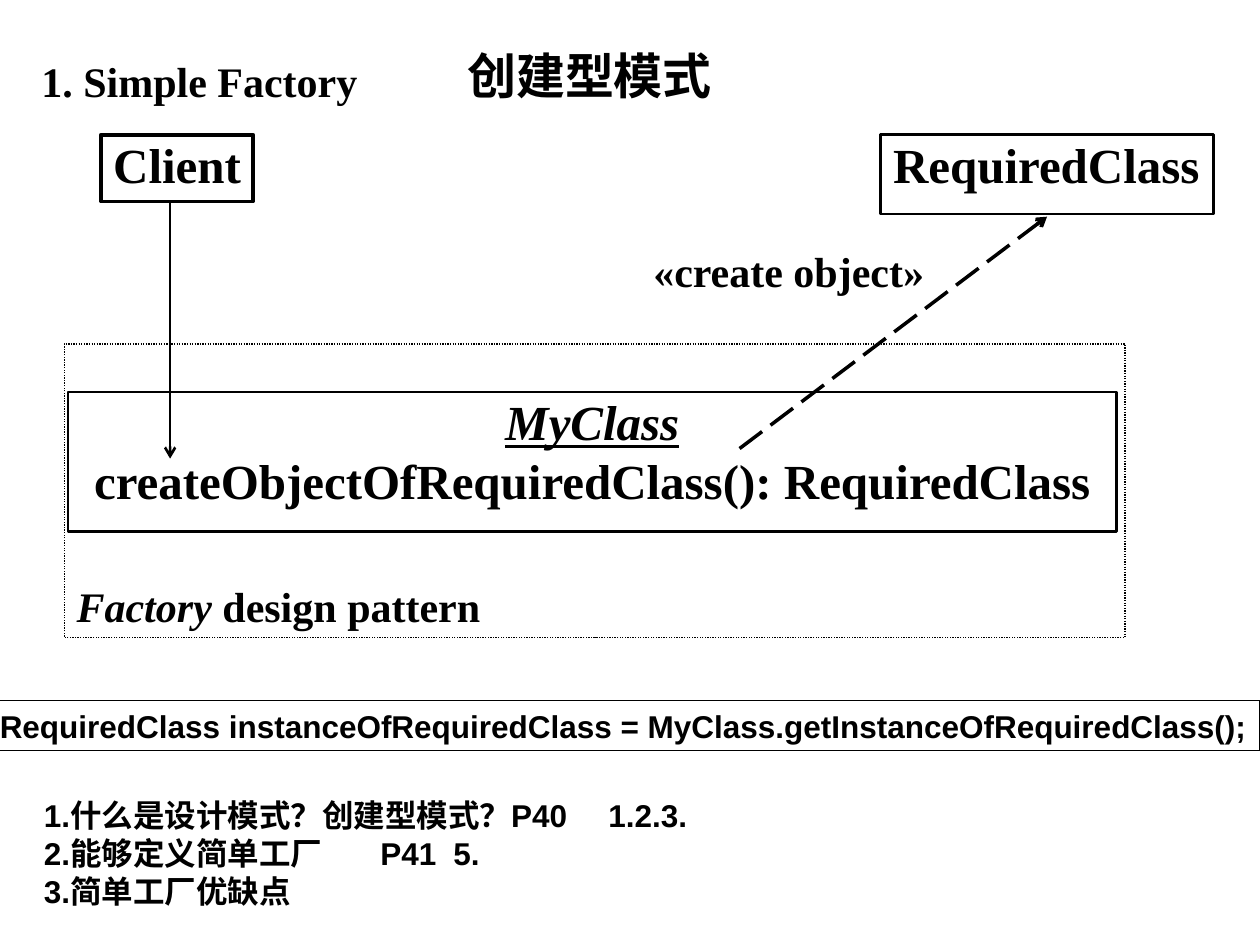
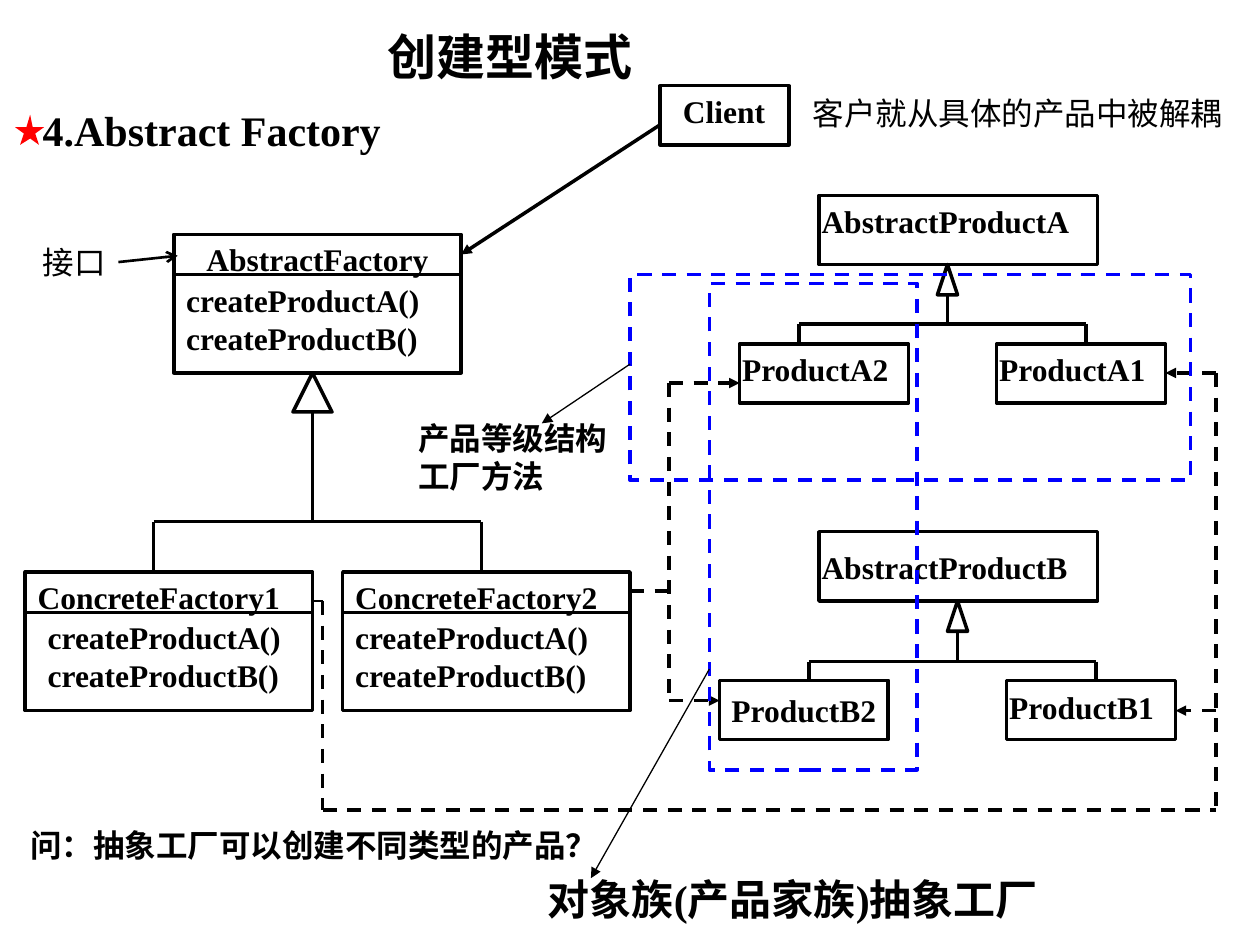
from pptx import Presentation
from pptx.dml.color import RGBColor
from pptx.enum.dml import MSO_LINE
from pptx.enum.shapes import MSO_CONNECTOR, MSO_SHAPE
from pptx.enum.text import MSO_ANCHOR, PP_ALIGN
from pptx.oxml.ns import qn
from pptx.util import Inches, Pt
from lxml import etree

RECT, TRI = MSO_SHAPE.RECTANGLE, MSO_SHAPE.ISOSCELES_TRIANGLE
DASH, LONG, DOT = MSO_LINE.DASH, MSO_LINE.LONG_DASH, MSO_LINE.ROUND_DOT
TOP, MID, LOW = MSO_ANCHOR.TOP, MSO_ANCHOR.MIDDLE, MSO_ANCHOR.BOTTOM
LEFT, MEAN = PP_ALIGN.LEFT, PP_ALIGN.CENTER
STRAIGHT = MSO_CONNECTOR.STRAIGHT
INK = {name: RGBColor.from_string(code) for name, code in {
    "black": "000000", "white": "FFFFFF", "blue": "0000FF", "red": "FF0000"}.items()}
SERIF, SANS = "Times New Roman", "Arial"
TITLE = "创建型模式"
CALLS = "createProductA()\ncreateProductB()"


def text(page, at, words="", kind=None, size=18, font=SERIF, bold=True, align=LEFT,
         anchor=TOP, wrap=False, pad=(0.1, 0.05), tabs=(),
         fill=None, edge=None, width=2, dash=None):
    spot = [Inches(v) for v in at]
    if kind is None:
        box = page.shapes.add_textbox(*spot)
    else:
        box = page.shapes.add_shape(kind, *spot)
        box.shadow.inherit = False
        if fill:
            box.fill.solid()
            box.fill.fore_color.rgb = INK[fill]
        else:
            box.fill.background()
        if edge:
            box.line.color.rgb = INK[edge]
            box.line.width = Pt(width)
            if dash:
                box.line.dash_style = dash
        else:
            box.line.fill.background()
    if not words:
        return box
    frame = box.text_frame
    frame.word_wrap, frame.vertical_anchor = wrap, anchor
    frame.margin_left, frame.margin_top = Inches(pad[0]), Inches(pad[1])
    frame.margin_right, frame.margin_bottom = Inches(pad[0]), Inches(0.05)
    for row, part in enumerate(words.split("\n")):
        para = frame.add_paragraph() if row else frame.paragraphs[0]
        para.alignment = align
        if row < len(tabs):
            stops = etree.SubElement(para._p.get_or_add_pPr(), qn("a:tabLst"))
            for stop in tabs[row]:
                etree.SubElement(stops, qn("a:tab"), pos=str(Inches(stop)), algn="l")
        for piece in part.split("|"):
            run = para.add_run()
            run.text = piece
            run.font.name, run.font.size, run.font.bold = font, Pt(size), bold
            run.font.color.rgb = INK["black"]
    return box


def line(page, x1, y1, x2, y2, width=2, dash=None, head=None):
    wire = page.shapes.add_connector(STRAIGHT, *[Inches(v) for v in (x1, y1, x2, y2)])
    wire.line.color.rgb = INK["black"]
    wire.line.width = Pt(width)
    if dash:
        wire.line.dash_style = dash
    if head:
        etree.SubElement(wire.line._get_or_add_ln(), qn("a:tailEnd"), type=head)
    etree.SubElement(wire._element.spPr, qn("a:effectLst"))


deck = Presentation()
deck.slide_width, deck.slide_height = Inches(10), Inches(7.5)
simple, family = [deck.slides.add_slide(deck.slide_layouts[6]) for _ in range(2)]

for page, x, y in ((simple, 3.61, 0.31), (family, 2.98, 0.16)):
    text(page, (x, y, 2.14, 0.57), TITLE, size=28, font=SANS)
text(simple, (0.23, 0.39, 5.38, 0.5), "1. Simple Factory", size=24)
text(family, (0.24, 0.78, 3.67, 0.5), "4.Abstract Factory", size=24)

scope = text(simple, (0.51, 2.73, 8.42, 2.33), "Factory| design pattern", RECT, size=24,
             anchor=LOW, wrap=True, edge="black", width=0.75, dash=DOT)
scope.text_frame.paragraphs[0].runs[0].font.italic = True
maker = text(simple, (0.54, 3.11, 8.32, 1.11),
             "MyClass\ncreateObjectOfRequiredClass(): RequiredClass", RECT, size=28,
             align=MEAN, pad=(0.1, 0), fill="white", edge="black", width=1.5)
name = maker.text_frame.paragraphs[0].runs[0].font
name.italic = name.underline = True
text(simple, (5.01, 1.95, 2.5, 0.42), "«create object»", RECT, size=24, align=MEAN,
     pad=(0.1, 0), fill="white")
line(simple, 5.87, 3.56, 8.31, 1.72, dash=LONG, head="arrow")
line(simple, 1.35, 1.48, 1.35, 3.64, width=1.5, head="arrow")
for word, x, w, h, width in (("RequiredClass", 6.99, 2.64, 0.63, 1.5),
                             ("Client", 0.8, 1.21, 0.53, 2)):
    text(simple, (x, 1.07, w, h), word, RECT, size=28, pad=(0.1, 0),
         fill="white", edge="black", width=width)
text(simple, (-0.1, 5.56, 10.1, 0.4),
     "RequiredClass instanceOfRequiredClass = MyClass.getInstanceOfRequiredClass();",
     RECT, font=SANS, edge="black", width=0.75)
text(simple, (0.25, 6.27, 6.5, 1.05),
     "1.什么是设计模式？创建型模式？P40\t1.2.3.\n2.能够定义简单工厂\tP41\t5.\n3.简单工厂优缺点",
     font=SANS, wrap=True, tabs=((4.48,), (2.67, 3.25)))

for word, x, y, inset, shift in (("AbstractFactory", 1.38, 1.86, 0.16, 0),
                                 ("ConcreteFactory1", 0.2, 4.54, 0, 0.08),
                                 ("ConcreteFactory2", 2.72, 4.54, 0, 0)):
    text(family, (x, y, 2.28, 1.1), kind=RECT, edge="black")
    line(family, x, y + 0.32, x + 2.28, y + 0.32)
    text(family, (x + inset, y, 2.13, 0.4), word)
    text(family, (x + shift, y + 0.32, 2.06, 0.7), CALLS)

for word, x, y, w, h, pad in (("Client", 5.24, 0.68, 1.02, 0.47, (0.18, 0.05)),
                              ("AbstractProductA", 6.5, 1.55, 2.21, 0.55, (0.02, 0.05)),
                              ("AbstractProductB", 6.5, 4.22, 2.21, 0.55, (0.02, 0.13)),
                              ("ProductA2", 5.87, 2.73, 1.34, 0.47, (0.02, 0.05)),
                              ("ProductA1", 7.91, 2.73, 1.34, 0.47, (0.02, 0.05)),
                              ("ProductB1", 7.99, 5.4, 1.34, 0.47, (0.02, 0.06))):
    text(family, (x, y, w, h), word, RECT, wrap=True, pad=pad, edge="black")
text(family, (5.71, 5.4, 1.34, 0.47), "ProductB2", RECT, align=MEAN, anchor=MID,
     edge="black")

for x1, x2, bar, foot, stem, top, w, h in (
        (1.22, 3.82, 4.14, 4.54, 2.48, 2.96, 0.31, 0.31),
        (6.34, 8.62, 2.57, 2.73, 7.52, 2.1, 0.16, 0.24),
        (6.42, 8.7, 5.25, 5.4, 7.6, 4.77, 0.16, 0.24)):
    line(family, x1, bar, x2, bar)
    for x in (x1, x2):
        line(family, x, bar, x, foot)
    line(family, stem, top + h, stem, bar)
    text(family, (stem - w / 2, top, w, h), kind=TRI, fill="white", edge="black")

for ends in ((5.31, 3.04, 5.31, 5.56), (5, 4.69, 5.31, 4.69), (2.56, 4.77, 2.56, 6.43),
             (2.56, 6.43, 9.65, 6.43), (9.65, 2.96, 9.65, 6.43)):
    line(family, *ends, dash=DASH)
for ends in ((5.31, 5.56, 5.71, 5.56), (5.31, 3.04, 5.87, 3.04),
             (9.65, 2.96, 9.25, 2.96), (9.65, 5.64, 9.33, 5.64)):
    line(family, *ends, dash=DASH, head="triangle")
line(family, 2.48, 4.77, 2.56, 4.77, width=0.75)

for at in ((5.63, 2.25, 1.65, 3.86), (5, 2.18, 4.45, 1.63)):
    text(family, at, kind=RECT, edge="blue", dash=DASH)
for ends in ((5.63, 5.31, 4.69, 6.97), (5, 2.89, 4.3, 3.36)):
    line(family, *ends, width=0.75, head="triangle")
line(family, 5.24, 0.99, 3.66, 2.02, head="triangle")
line(family, 0.94, 2.08, 1.41, 2.03, width=1.5, head="arrow")

text(family, (4.25, 6.88, 4.41, 0.5), "对象族(产品家族)抽象工厂", size=24)
for words, at, bold in (
        ("产品等级结构\n工厂方法", (3.22, 3.28, 1.7, 0.7), True),
        ("客户就从具体的产品中被解耦", (6.35, 0.7, 3.45, 0.4), False),
        ("接口", (0.24, 1.88, 0.7, 0.4), False),
        ("问：抽象工厂可以创建不同类型的产品？", (0.14, 6.51, 4.7, 0.4), True)):
    text(family, at, words, font=SANS, bold=bold)

tips = [(Inches(x), Inches(y)) for x, y in (
    (0.12, 1.01), (0.21, 1.01), (0.24, 0.91), (0.26, 1.01), (0.35, 1.01),
    (0.28, 1.06), (0.31, 1.15), (0.24, 1.1), (0.16, 1.15), (0.19, 1.06))]
draft = family.shapes.build_freeform(*tips[0])
draft.add_line_segments(tips[1:], close=True)
star = draft.convert_to_shape()
star.shadow.inherit = False
star.fill.solid()
star.fill.fore_color.rgb = INK["red"]
star.line.fill.background()

deck.save("out.pptx")
